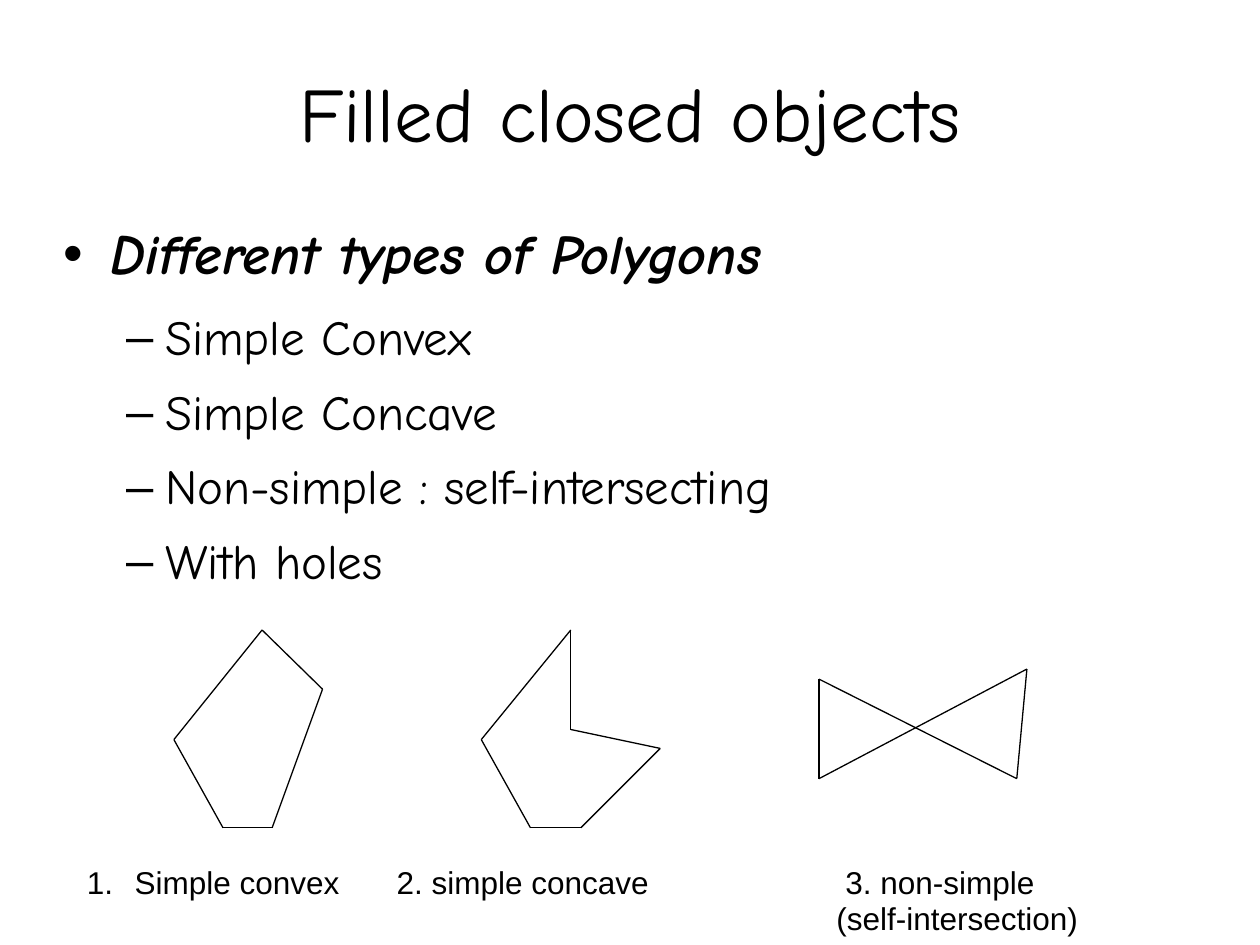
from itertools import pairwise

from lxml import etree
from pptx import Presentation
from pptx.dml.color import RGBColor
from pptx.enum.shapes import MSO_CONNECTOR
from pptx.enum.text import MSO_ANCHOR, MSO_AUTO_SIZE, PP_ALIGN
from pptx.oxml.ns import qn
from pptx.util import Inches, Pt

STRAIGHT = MSO_CONNECTOR.STRAIGHT
MIDDLE, TOP = MSO_ANCHOR.MIDDLE, MSO_ANCHOR.TOP
NO_FIT = MSO_AUTO_SIZE.NONE
LEFT, CENTER = PP_ALIGN.LEFT, PP_ALIGN.CENTER
BLACK = "000000"
HAND, SANS = "Comic Neue", "Arial"


def prepare_box(box, place, margins, anchor=TOP):
    box.left, box.top, box.width, box.height = map(Inches, place)
    frame = box.text_frame
    frame.word_wrap, frame.auto_size, frame.vertical_anchor = True, NO_FIT, anchor
    (frame.margin_left, frame.margin_top,
     frame.margin_right, frame.margin_bottom) = map(Inches, margins)
    return frame


def write(frame, text, size, font=HAND, color=BLACK, bold=False, italic=False,
          align=LEFT, level=0, margin=0, hanging=0, after=0,
          bullet=None, numbered=False, tabs=()):
    first = frame.paragraphs[0]
    para = frame.add_paragraph() if first.runs else first
    para.level = level
    props = para._p.get_or_add_pPr()
    props.set("marL", str(Inches(margin)))
    props.set("indent", str(-Inches(hanging)))
    if bullet or numbered:
        bullet_color = etree.SubElement(props, qn("a:buClr"))
        etree.SubElement(bullet_color, qn("a:srgbClr"), val=color)
        etree.SubElement(props, qn("a:buFont"), typeface=SANS)
    if bullet:
        etree.SubElement(props, qn("a:buChar"), char=bullet)
    elif numbered:
        etree.SubElement(props, qn("a:buAutoNum"), type="arabicPeriod")
    else:
        etree.SubElement(props, qn("a:buNone"))
    if tabs:
        tab_list = etree.SubElement(props, qn("a:tabLst"))
        for stop in tabs:
            etree.SubElement(tab_list, qn("a:tab"), pos=str(Inches(stop)), algn="l")
    para.alignment = align
    para.line_spacing = 0.93
    para.space_before, para.space_after = Pt(0), Pt(after)
    span = para.add_run()
    span.text = text
    span.font.name, span.font.size = font, Pt(size)
    span.font.bold, span.font.italic = bold, italic
    span.font.color.rgb = RGBColor.from_string(color)


deck = Presentation()
deck.slide_width, deck.slide_height = Inches(10), Inches(7.5)
page = deck.slides.add_slide(deck.slide_layouts[1])

title = prepare_box(page.shapes.title, (0.5, 0.3, 9, 1.25), (0, 0, 0, 0), MIDDLE)
write(title, "Filled closed objects", 44, align=CENTER)

body = prepare_box(page.placeholders[1], (0.5, 1.76, 9, 4.95), (0, 0.02, 0, 0))
write(body, "Different types of Polygons", 32, bold=True, italic=True,
      margin=0.38, hanging=0.38, after=14.3, bullet="•")
for kind in ("Simple Convex", "Simple Concave",
             "Non-simple : self-intersecting", "With holes"):
    write(body, kind, 28, level=1, margin=0.81, hanging=0.31, after=11.4, bullet="–")

convex = [(1.77, 6.57), (1.38, 5.87), (2.08, 5), (2.56, 5.47), (2.16, 6.57)]
concave = [(4.21, 6.57), (3.82, 5.87), (4.53, 5), (4.53, 5.79),
           (5.24, 5.94), (4.61, 6.57)]
self_intersecting = [(6.5, 6.18), (6.5, 5.39), (8.07, 6.18), (8.15, 5.31)]
for corners in (convex, concave, self_intersecting):
    for start, end in pairwise(corners + corners[:1]):
        edge = page.shapes.add_connector(STRAIGHT, *map(Inches, start + end))
        edge.line.color.rgb = RGBColor.from_string(BLACK)
        edge.line.width = Pt(0.75)
        etree.SubElement(edge._element.spPr, qn("a:effectLst"))

caption_place = (0.59, 6.83, 9.41, 0.67)
caption_box = page.shapes.add_textbox(*map(Inches, caption_place))
captions = prepare_box(caption_box, caption_place, (0.1, 0.05, 0.1, 0.05))
write(captions, "Simple convex\t2. simple concave\t3. non-simple", 18, font=SANS,
      margin=0.38, hanging=0.38, numbered=True, tabs=(2.46, 6.02))
write(captions, "(self-intersection)", 18, font=SANS, level=4, margin=5.95)

deck.save("out.pptx")
